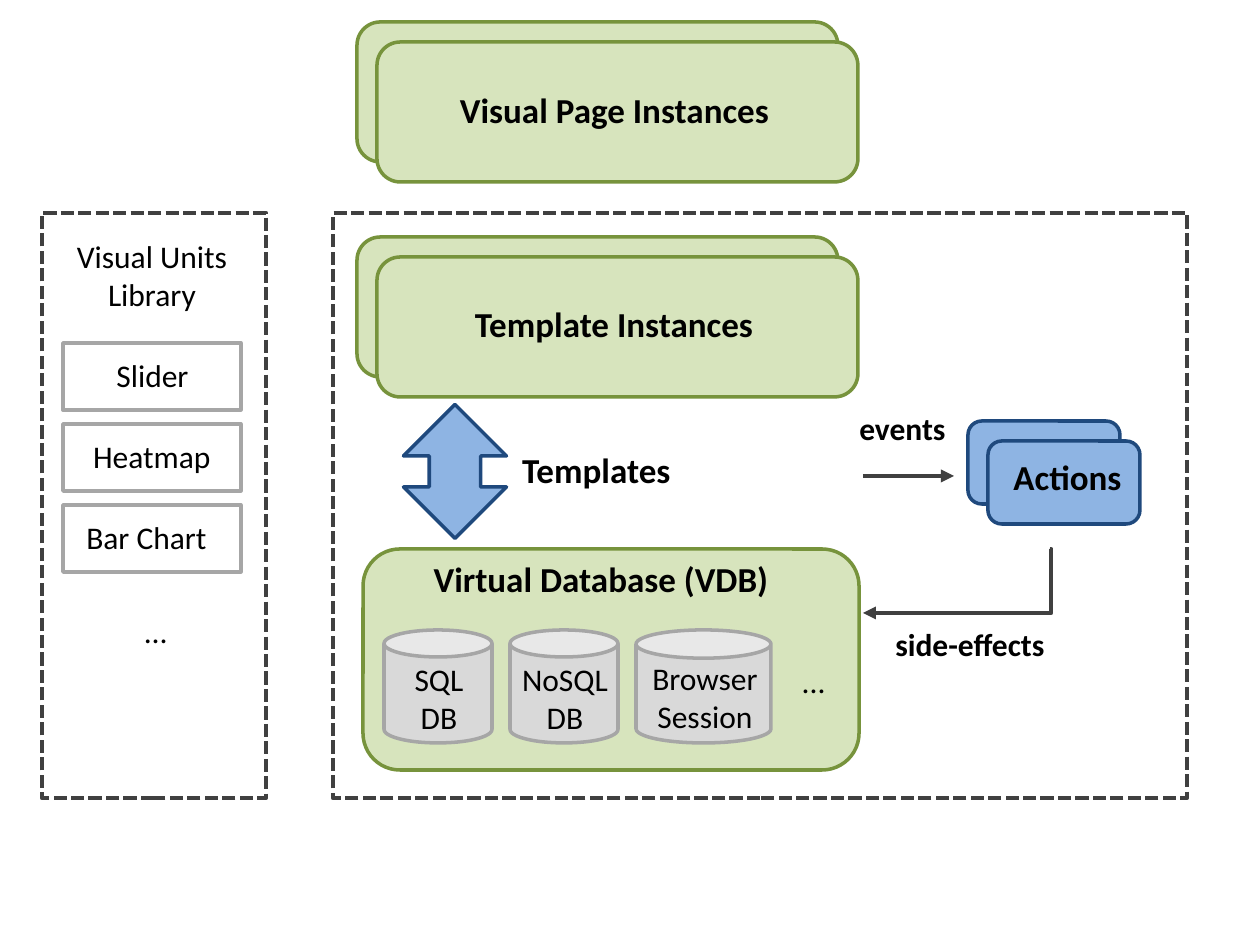
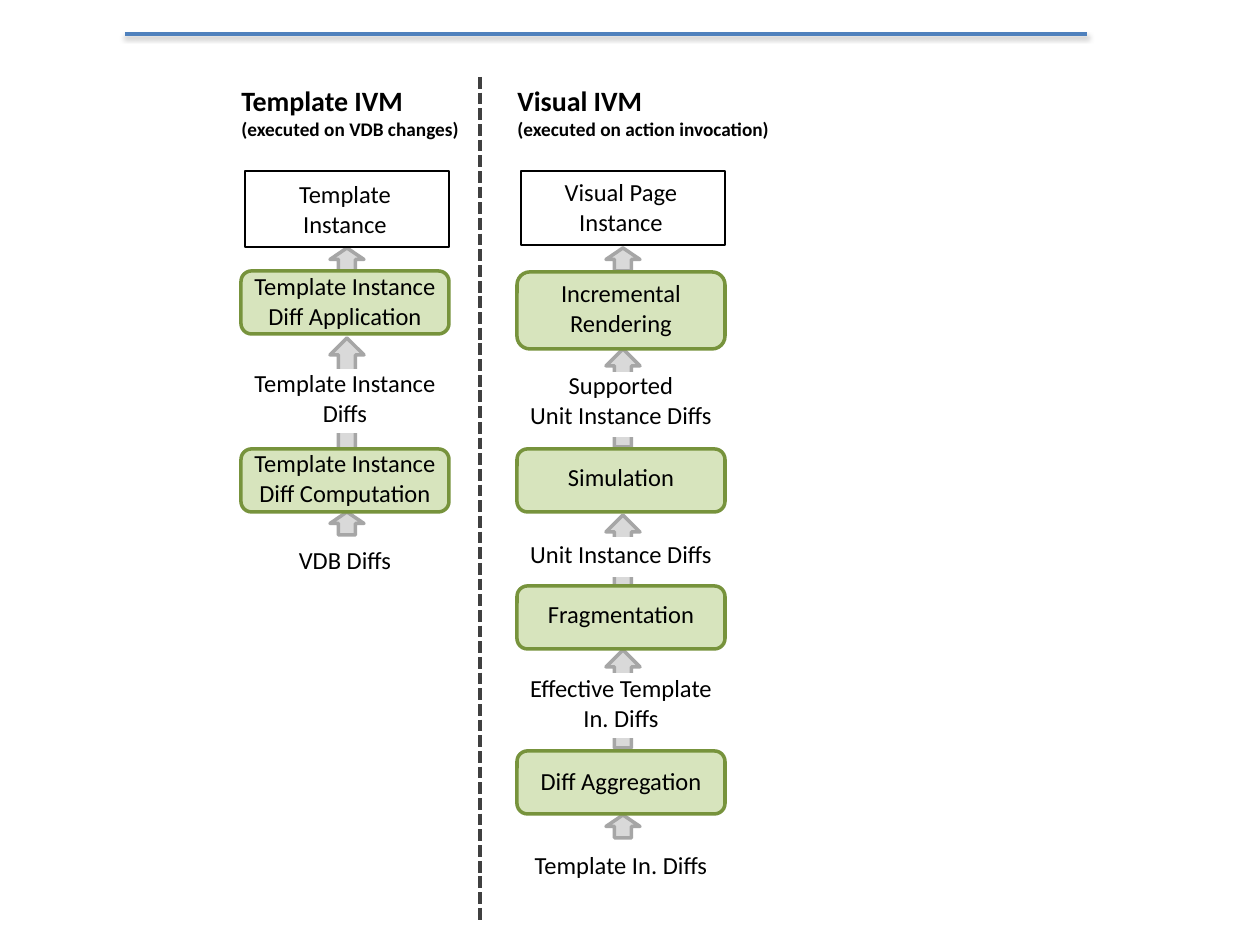
from lxml import etree
from pptx import Presentation
from pptx import util as u
from pptx.dml.color import RGBColor
from pptx.enum import dml, shapes, text
from pptx.oxml.ns import qn

PX = 914400 / 126
FONT = "Calibri"
BLACK, WHITE, DARK = "000000", "FFFFFF", "404040"
KIND = shapes.MSO_SHAPE
CENTER, LEFT, RIGHT = text.PP_ALIGN.CENTER, text.PP_ALIGN.LEFT, text.PP_ALIGN.RIGHT

# Shared looks: fill, line colour, line width in points
GREEN = ("D7E4BD", "77933C", 2)
BLUE = ("8EB4E3", "1F497D", 2)
GRAY = ("D9D9D9", "A6A6A6", 2)
UNIT = (WHITE, "A6A6A6", 2)
FRAME = (None, DARK, 2.5)
OUTLINED = (WHITE, BLACK, 1)
MASK = (WHITE, WHITE, 1)

# Architecture slide: places are left, top, width, height in px
FRAMES = [(42, 213, 224, 585), (333, 213, 854, 585)]
STACKS = [
    (357, 22, 481, 140, GREEN),
    (357, 237, 481, 140, GREEN),
    (968, 421, 152, 83, BLUE),
]
STACK_OFFSET = 20
VDB = (363, 549, 496, 221)
DATABASE_WIDTHS = [108, 108, 135]
DATABASE_LEFT, DATABASE_GAP = 384, 18
UNITS = [("Slider", 103, 98), ("Heatmap", 78, 145), ("Bar Chart", 72, 147)]
UNIT_TOP, UNIT_STEP = 343, 81
# label, place, size, bold, alignment
LABELS = [
    ("Visual Page Instances", (445, 82, 339, 55), 20, True, CENTER),
    ("Template Instances", (459, 296, 310, 55), 20, True, CENTER),
    ("Virtual Database (VDB)", (420, 551, 362, 55), 20, True, CENTER),
    ("Templates", (504, 442, 179, 55), 20, True, RIGHT),
    ("Actions", (997, 449, 137, 55), 20, True, RIGHT),
    ("events", (845, 403, 113, 50), 18, True, RIGHT),
    ("side-effects", (879, 619, 178, 50), 18, True, RIGHT),
    ("Visual Units\nLibrary", (63, 231, 178, 89), 18, False, CENTER),
    ("SQL\nDB", (401, 654, 76, 89), 18, False, CENTER),
    ("NoSQL\nDB", (509, 654, 112, 89), 18, False, CENTER),
    ("Browser\nSession", (639, 653, 132, 89), 18, False, CENTER),
    ("...", (789, 656, 49, 50), 18, False, RIGHT),
    ("…", (131, 606, 48, 50), 18, False, RIGHT),
]

# Pipeline slide: per column its left edge, heading, arrows and stages
COLUMN_WIDTH, ARROW_WIDTH = 208, 34
LINE_HEIGHTS = {1: 43, 2: 72}
COLUMNS = [
    {
        "left": 241,
        "heading": ("Template IVM", "(executed on VDB changes)", 251),
        "arrows": [(248, 23), (338, 112), (512, 23)],
        # label, look, shape top and height, text top, text lines, text width
        "stages": [
            ("Template Instance", OUTLINED, 171, 76, 173, 2, 165),
            ("Template Instance Diff Application", GREEN, 271, 63, 265, 2, 214),
            ("Template Instance Diffs", MASK, 370, 62, 362, 2, 208),
            ("Template Instance\nDiff Computation", GREEN, 449, 63, 442, 2, 227),
            ("VDB Diffs", None, 0, 0, 539, 1, 208),
        ],
    },
    {
        "left": 517,
        "heading": ("Visual IVM", "(executed on action invocation)", 295),
        "arrows": [(248, 23), (349, 98), (515, 79), (650, 98), (815, 23)],
        "stages": [
            ("Visual Page Instance", OUTLINED, 171, 74, 171, 2, 208),
            ("Incremental Rendering", GREEN, 272, 77, 272, 2, 185),
            ("Supported\nUnit Instance Diffs", MASK, 373, 63, 364, 2, 208),
            ("Simulation", GREEN, 449, 63, 456, 1, 185),
            ("Unit Instance Diffs", MASK, 538, 38, 533, 1, 208),
            ("Fragmentation", GREEN, 586, 63, 593, 1, 185),
            ("Effective Template In. Diffs", MASK, 674, 63, 667, 2, 208),
            ("Diff Aggregation", GREEN, 751, 63, 760, 1, 195),
            ("Template In. Diffs", None, 0, 0, 844, 1, 208),
        ],
    },
]


def px(*lengths):
    return [round(length * PX) for length in lengths]


def color(value):
    return RGBColor.from_string(value)


def add_box(slide, kind, place, look, dashed=False):
    fill, line, width = look
    shape = slide.shapes.add_shape(kind, *px(*place))
    shape.shadow.inherit = False
    if fill:
        shape.fill.solid()
        shape.fill.fore_color.rgb = color(fill)
    else:
        shape.fill.background()
    shape.line.color.rgb = color(line)
    shape.line.width = u.Pt(width)
    if dashed:
        shape.line.dash_style = dml.MSO_LINE.SQUARE_DOT
    return shape


def add_text(slide, place, lines, align=CENTER, wrap=True):
    """Each line is a paragraph: wording, size, bold."""
    frame = slide.shapes.add_textbox(*px(*place)).text_frame
    frame.word_wrap = wrap
    frame.auto_size = text.MSO_AUTO_SIZE.SHAPE_TO_FIT_TEXT
    for index, (wording, size, bold) in enumerate(lines):
        paragraph = frame.add_paragraph() if index else frame.paragraphs[0]
        paragraph.text = wording
        paragraph.alignment = align
        font = paragraph.font
        font.name, font.size, font.bold = FONT, u.Pt(size), bold
        font.color.rgb = color(BLACK)


def add_line(slide, ends, line, width, arrow=False, dashed=False,
             kind=shapes.MSO_CONNECTOR.STRAIGHT):
    connector = slide.shapes.add_connector(kind, *px(*ends))
    connector.line.color.rgb = color(line)
    connector.line.width = u.Pt(width)
    if dashed:
        connector.line.dash_style = dml.MSO_LINE.SQUARE_DOT
    properties = connector._element.spPr
    if arrow:
        etree.SubElement(properties.find(qn("a:ln")), qn("a:tailEnd"), type="triangle")
    etree.SubElement(properties, qn("a:effectLst"))
    return connector


def bend_at_start(connector):
    geometry = connector._element.spPr.find(qn("a:prstGeom"))
    guides = geometry.find(qn("a:avLst"))
    if guides is None:
        guides = etree.SubElement(geometry, qn("a:avLst"))
    etree.SubElement(guides, qn("a:gd"), name="adj1", fmla="val -700")


def add_soft_shadow(connector):
    effects = connector._element.spPr.find(qn("a:effectLst"))
    shadow = etree.SubElement(
        effects, qn("a:outerShdw"), blurRad=str(u.Pt(3.1)), dist=str(u.Pt(1.6)),
        dir="5400000", rotWithShape="0")
    tint = etree.SubElement(shadow, qn("a:srgbClr"), val=BLACK)
    etree.SubElement(tint, qn("a:alpha"), val="38000")


def build_architecture(slide):
    for place in FRAMES:
        add_box(slide, KIND.RECTANGLE, place, FRAME, dashed=True)

    # Stacked cards
    for left, top, width, height, look in STACKS:
        for shift in (0, STACK_OFFSET):
            place = (left + shift, top + shift, width, height)
            add_box(slide, KIND.ROUNDED_RECTANGLE, place, look)

    # Virtual database with its sources
    add_box(slide, KIND.ROUNDED_RECTANGLE, VDB, GREEN)
    left = DATABASE_LEFT
    for width in DATABASE_WIDTHS:
        add_box(slide, KIND.CAN, (left, 630, width, 113), GRAY)
        left += width + DATABASE_GAP

    # Library units
    for index, (label, label_left, label_width) in enumerate(UNITS):
        top = UNIT_TOP + index * UNIT_STEP
        add_box(slide, KIND.RECTANGLE, (63, top, 178, 67), UNIT)
        add_text(slide, (label_left, top + 7, label_width, 50),
                 [(label, 18, False)], RIGHT, wrap=False)

    # Arrows
    add_box(slide, KIND.LEFT_RIGHT_ARROW, (388, 420, 134, 103), BLUE).rotation = 90
    add_line(slide, (863, 476, 954, 476), DARK, 2.5, arrow=True)
    bend_at_start(add_line(slide, (1050, 549, 863, 613), DARK, 2.5, arrow=True,
                           kind=shapes.MSO_CONNECTOR.ELBOW))

    for label, place, size, bold, align in LABELS:
        add_text(slide, place, [(label, size, bold)], align, wrap=False)


def build_pipelines(slide):
    add_soft_shadow(add_line(slide, (125, 34, 1087, 34), "4F81BD", 2))
    add_line(slide, (480, 77, 480, 921), DARK, 2.25, dashed=True)

    for column in COLUMNS:
        left = column["left"]
        middle = left + COLUMN_WIDTH / 2
        title, note, width = column["heading"]
        add_text(slide, (left - 12, 77, width, 71),
                 [(title, 16, True), (note, 11, True)], LEFT)

        # Arrows lie behind the stages
        for top, height in column["arrows"]:
            add_box(slide, KIND.UP_ARROW,
                    (middle + 2 - ARROW_WIDTH / 2, top, ARROW_WIDTH, height), GRAY)

        for label, look, top, height, text_top, lines, text_width in column["stages"]:
            if look:
                inset = 0 if look == GREEN else 4
                box = add_box(slide, KIND.ROUNDED_RECTANGLE,
                              (left + inset, top, COLUMN_WIDTH - inset, height), look)
                if inset:
                    box.adjustments[0] = 0
            add_text(slide, (middle - text_width / 2, text_top, text_width,
                             LINE_HEIGHTS[lines]), [(label, 14, False)])


def main():
    presentation = Presentation()
    presentation.slide_width, presentation.slide_height = px(1260, 945)
    for build in (build_architecture, build_pipelines):
        build(presentation.slides.add_slide(presentation.slide_layouts[6]))
    presentation.save("out.pptx")


if __name__ == "__main__":
    main()
